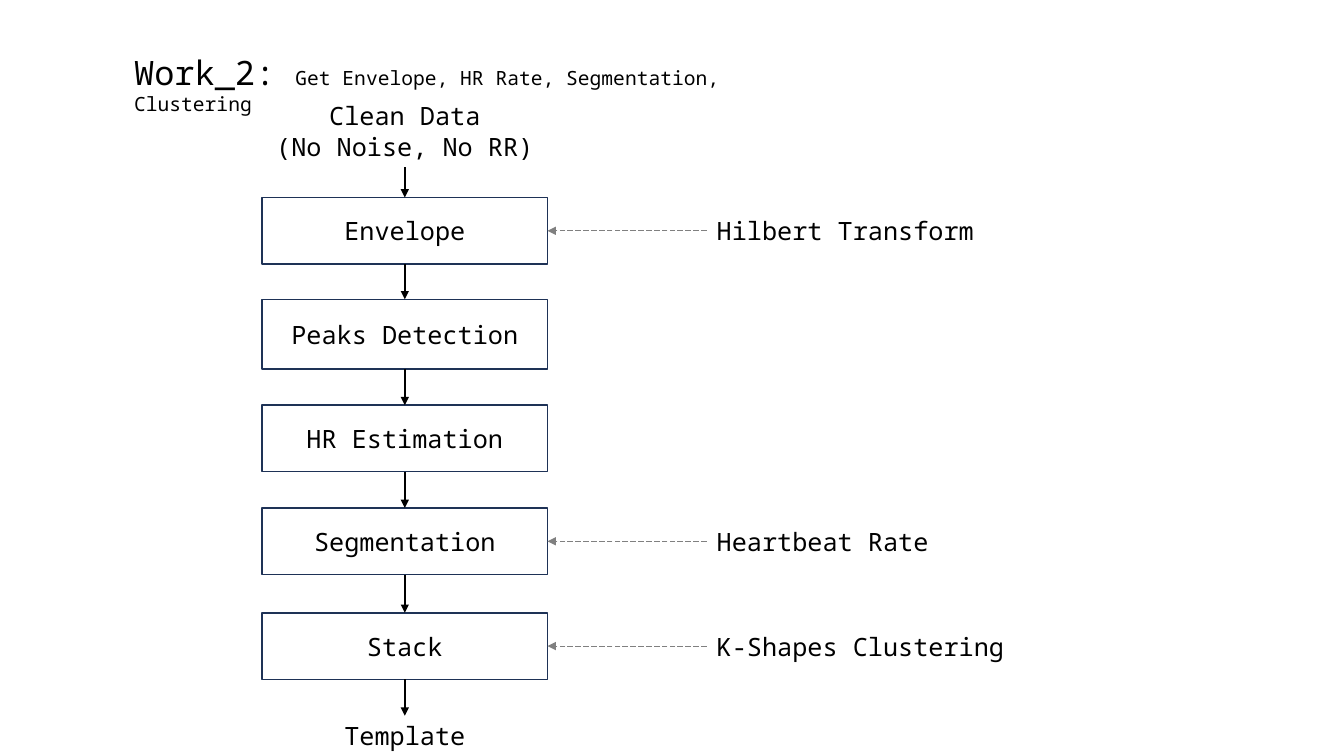
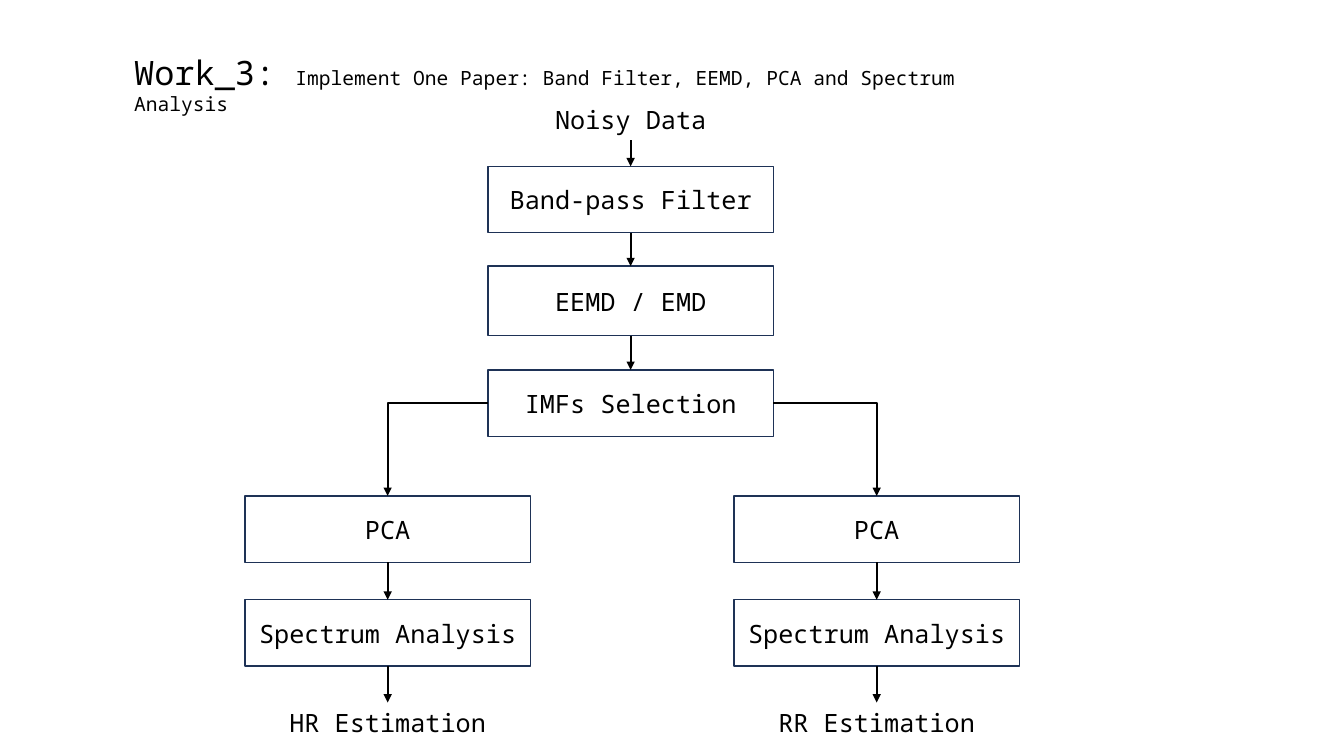
"""Build two flowchart slides on heart-rate signal processing."""
from lxml import etree
from pptx import Presentation
from pptx import util as u
from pptx.dml.color import RGBColor
from pptx.enum import dml, shapes, text
from pptx.oxml.ns import qn

PX = 9144
TOP, LEFT, BOTTOM, RIGHT = range(4)
BOX_WIDTH, BOX_HEIGHT = 283, 66


def px(*lengths):
    return [u.Emu(length * PX) for length in lengths]


def color(hex_code):
    return RGBColor.from_string(hex_code)


def put_text(para, words, size=18, ink="000000", font="Noto Sans Mono", align="LEFT"):
    para.alignment = getattr(text.PP_ALIGN, align)
    span = para.add_run()
    span.text = words
    span.font.size = u.Pt(size)
    span.font.name = font
    span.font.color.rgb = color(ink)


class Flowchart:
    """Hold the deck style and draw on the current slide."""

    INK, BORDER, PAPER, HINT = "000000", "1E3256", "FFFFFF", "808080"

    def __init__(self):
        self.deck = Presentation()
        self.deck.slide_width, self.deck.slide_height = px(1333, 750)
        self.page = None

    def new_page(self, heading, detail, width):
        self.page = self.deck.slides.add_slide(self.deck.slide_layouts[5])
        title = self.page.shapes.title
        title.left, title.top, title.width, title.height = px(123, 46, width, 50)
        frame = self.set_frame(title, text.MSO_ANCHOR.TOP)
        put_text(frame.paragraphs[0], heading + " ", size=24)
        put_text(frame.paragraphs[0], detail, size=14)

    def set_frame(self, shape, anchor):
        frame = shape.text_frame
        frame.word_wrap = True
        frame.auto_size = text.MSO_AUTO_SIZE.NONE
        frame.vertical_anchor = anchor
        return frame

    def box(self, words, left, top, height=BOX_HEIGHT):
        box = self.page.shapes.add_shape(
            shapes.MSO_SHAPE.RECTANGLE, *px(left, top, BOX_WIDTH, height))
        box.shadow.inherit = False
        box.fill.solid()
        box.fill.fore_color.rgb = color(self.PAPER)
        box.line.color.rgb = color(self.BORDER)
        box.line.width = u.Pt(1)
        frame = self.set_frame(box, text.MSO_ANCHOR.MIDDLE)
        put_text(frame.paragraphs[0], words, align="CENTER")
        return box

    def label(self, lines, left, top, width=BOX_WIDTH, height=40, align="CENTER"):
        label = self.page.shapes.add_textbox(*px(left, top, width, height))
        frame = self.set_frame(label, text.MSO_ANCHOR.TOP)
        for index, words in enumerate(lines):
            para = frame.add_paragraph() if index else frame.paragraphs[0]
            put_text(para, words, align=align)
        return label

    def arrow(self, start, end, sites=(BOTTOM, TOP), ink=INK, width=1.5,
              dash=None, bent=False):
        kind = shapes.MSO_CONNECTOR.ELBOW if bent else shapes.MSO_CONNECTOR.STRAIGHT
        arrow = self.page.shapes.add_connector(kind, 0, 0, 0, 0)
        arrow.begin_connect(start, sites[0])
        arrow.end_connect(end, sites[1])
        arrow.line.color.rgb = color(ink)
        arrow.line.width = u.Pt(width)
        if dash:
            arrow.line.dash_style = dash
        properties = arrow._element.spPr
        if bent:
            properties.find(qn("a:prstGeom")).set("prst", "bentConnector2")
        etree.SubElement(properties.find(qn("a:ln")), qn("a:tailEnd"), type="triangle")
        etree.SubElement(properties, qn("a:effectLst"))

    def chain(self, steps):
        for start, end in zip(steps, steps[1:]):
            self.arrow(start, end)

    def hint(self, words, box):
        middle = (box.top + box.height // 2) // PX
        label = self.label([words], 701, middle - 20, width=347, align="LEFT")
        self.arrow(label, box, sites=(LEFT, RIGHT), ink=self.HINT, width=0.5,
                   dash=dml.MSO_LINE.LONG_DASH)


def template_page(chart):
    chart.new_page("Work_2:", "Get Envelope, HR Rate, Segmentation, Clustering", 706)
    left = 260
    source = chart.label(["Clean Data", "(No Noise, No RR)"], left, 95, height=71)
    envelope = chart.box("Envelope", left, 196)
    peaks = chart.box("Peaks Detection", left, 297, height=69)
    rate = chart.box("HR Estimation", left, 402)
    segments = chart.box("Segmentation", left, 504)
    stack = chart.box("Stack", left, 608)
    result = chart.label(["Template"], left, 710)
    chart.chain([source, envelope, peaks, rate, segments, stack, result])
    chart.hint("Hilbert Transform", envelope)
    chart.hint("Heartbeat Rate", segments)
    chart.hint("K-Shapes Clustering", stack)


def spectrum_page(chart):
    chart.new_page(
        "Work_3:",
        "Implement One Paper: Band Filter, EEMD, PCA and Spectrum Analysis", 893)
    left = 484
    source = chart.label(["Noisy Data"], left, 99)
    band = chart.box("Band-pass Filter", left, 165)
    modes = chart.box("EEMD / EMD", left, 264, height=69)
    selection = chart.box("IMFs Selection", left, 367)
    chart.chain([source, band, modes, selection])
    for target, branch_left, side in (("HR", 243, LEFT), ("RR", 728, RIGHT)):
        pca = chart.box("PCA", branch_left, 492)
        spectrum = chart.box("Spectrum Analysis", branch_left, 595)
        result = chart.label([f"{target} Estimation"], branch_left, 697)
        chart.chain([pca, spectrum, result])
        chart.arrow(selection, pca, sites=(side, TOP), bent=True)


def main():
    chart = Flowchart()
    template_page(chart)
    spectrum_page(chart)
    chart.deck.save("out.pptx")


if __name__ == "__main__":
    main()
